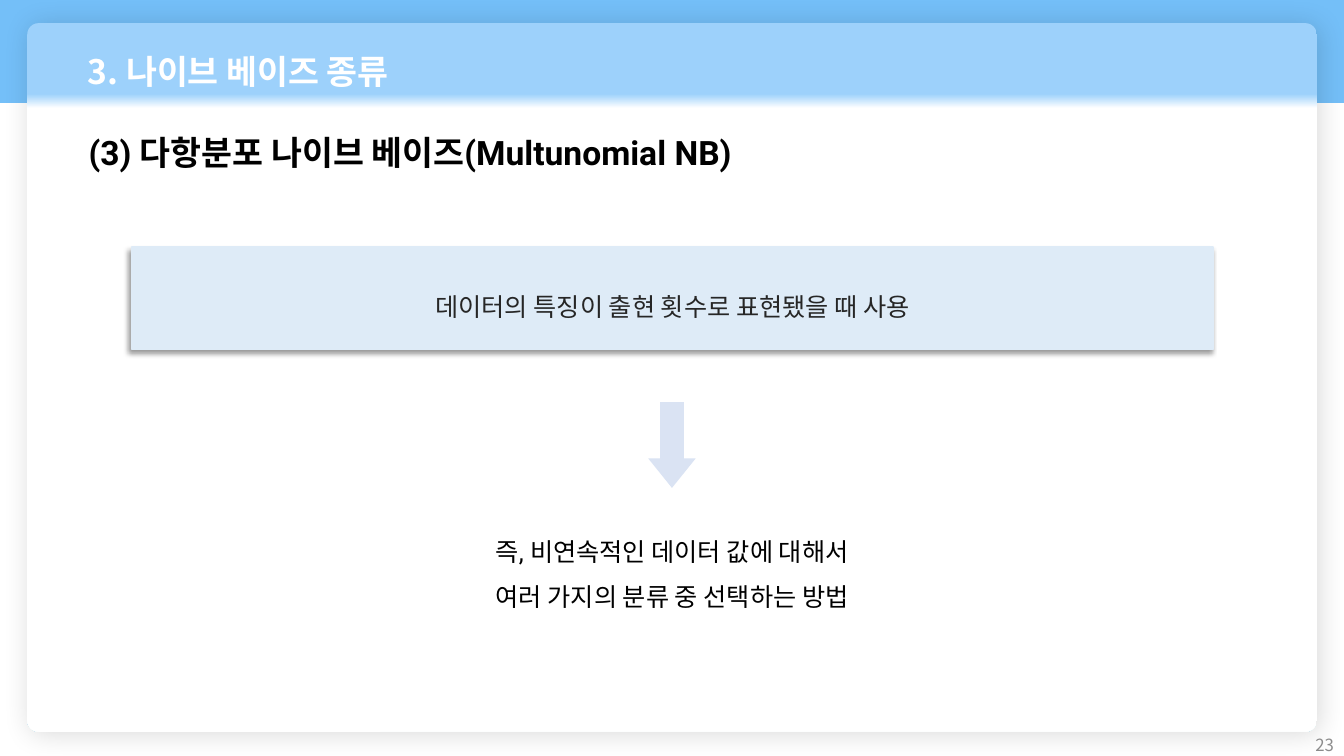
from dataclasses import dataclass

from lxml import etree
from pptx import Presentation
from pptx.dml.color import RGBColor
from pptx.enum.shapes import MSO_SHAPE
from pptx.enum.text import MSO_ANCHOR, MSO_AUTO_SIZE, PP_ALIGN
from pptx.oxml.ns import qn
from pptx.util import Inches, Pt

LEFT, CENTER, RIGHT = PP_ALIGN.LEFT, PP_ALIGN.CENTER, PP_ALIGN.RIGHT
TOP, MIDDLE = MSO_ANCHOR.TOP, MSO_ANCHOR.MIDDLE
RECTANGLE, ROUNDED = MSO_SHAPE.RECTANGLE, MSO_SHAPE.ROUNDED_RECTANGLE
DOWN_ARROW = MSO_SHAPE.DOWN_ARROW
NO_AUTOFIT = MSO_AUTO_SIZE.NONE
EMU_PER_POINT = 12700
ANGLE_UNITS = 60000
PERCENT_UNITS = 1000


@dataclass(frozen=True)
class Theme:
    korean: str = "Noto Sans CJK KR"
    latin: str = "Roboto"
    heading: int = 24
    body: int = 18
    small: int = 12
    band: str = "74BFF8"
    card_top: str = "9DD1FB"
    white: str = "FFFFFF"
    black: str = "000000"
    panel: str = "DEEBF7"
    panel_text: str = "262626"
    arrow: str = "DAE3F3"
    page_number: str = "8C8C8C"


THEME = Theme()


@dataclass(frozen=True)
class Box:
    left: float
    top: float
    width: float
    height: float

    def lengths(self) -> tuple:
        return tuple(Inches(n) for n in (self.left, self.top, self.width, self.height))


@dataclass(frozen=True)
class Shadow:
    opacity: int
    blur: int
    distance: int
    angle: int


@dataclass(frozen=True)
class TextStyle:
    size: int
    color: str
    font: str = THEME.latin
    bold: bool = False
    align: PP_ALIGN = LEFT
    anchor: MSO_ANCHOR = TOP
    line_spacing: float = 1.0


@dataclass(frozen=True)
class Label:
    box: Box
    lines: tuple
    style: TextStyle


TITLE = "3. 나이브 베이즈 종류"
TITLE_BOX = Box(0.87, 0.4, 11.6, 0.6)
TITLE_STYLE = TextStyle(THEME.heading, THEME.white, THEME.korean, bold=True, anchor=MIDDLE)
PANEL_TEXT = "데이터의 특징이 출현 횟수로 표현됐을 때 사용"
PANEL_STYLE = TextStyle(THEME.body, THEME.panel_text, align=CENTER,
                        anchor=MIDDLE, line_spacing=1.5)
LABELS = (
    Label(Box(0.78, 1.26, 7.38, 0.5),
          ("(3) 다항분포 나이브 베이즈(Multunomial NB)",),
          TextStyle(THEME.heading, THEME.black, bold=True)),
    Label(Box(10.33, 7.19, 3, 0.4), ("23",),
          TextStyle(THEME.small, THEME.page_number, THEME.korean,
                    align=RIGHT, anchor=MIDDLE)),
    Label(Box(2.67, 5.12, 7.99, 0.95),
          ("즉, 비연속적인 데이터 값에 대해서", "여러 가지의 분류 중 선택하는 방법"),
          TextStyle(THEME.body, THEME.black, align=CENTER, line_spacing=1.5)),
)


def rgb(color: str) -> RGBColor:
    return RGBColor.from_string(color)


def write_text(frame, lines: tuple, style: TextStyle) -> None:
    frame.word_wrap = True
    frame.auto_size = NO_AUTOFIT
    frame.vertical_anchor = style.anchor
    for index, line in enumerate(lines):
        para = frame.add_paragraph() if index else frame.paragraphs[0]
        para.alignment = style.align
        para.line_spacing = style.line_spacing
        span = para.add_run()
        span.text = line
        span.font.name = style.font
        span.font.size = Pt(style.size)
        span.font.bold = style.bold
        span.font.color.rgb = rgb(style.color)
        east_asian = etree.SubElement(span.font._element, qn("a:ea"))
        east_asian.set("typeface", THEME.korean)


def add_plain_shape(page, kind: MSO_SHAPE, box: Box, color: str):
    shape = page.shapes.add_shape(kind, *box.lengths())
    shape.shadow.inherit = False
    shape.fill.solid()
    shape.fill.fore_color.rgb = rgb(color)
    shape.line.fill.background()
    return shape


def cast_shadow(shape, shadow: Shadow) -> None:
    effects = shape._element.spPr.find(qn("a:effectLst"))
    outer = etree.SubElement(effects, qn("a:outerShdw"), {
        "blurRad": str(shadow.blur * EMU_PER_POINT),
        "dist": str(shadow.distance * EMU_PER_POINT),
        "dir": str(shadow.angle * ANGLE_UNITS),
        "algn": "ctr",
        "rotWithShape": "0",
    })
    color = etree.SubElement(outer, qn("a:srgbClr"), val=THEME.black)
    etree.SubElement(color, qn("a:alpha"), val=str(shadow.opacity * PERCENT_UNITS))


def add_card(page) -> None:
    card = add_plain_shape(page, ROUNDED, Box(0.27, 0.23, 12.79, 7.03), THEME.white)
    card.adjustments[0] = 0.016
    card.fill.gradient()
    card.fill.gradient_angle = 270
    stops = ((0.1, THEME.card_top), (0.12, THEME.white))
    for stop, (position, color) in zip(card.fill.gradient_stops, stops):
        stop.position = position
        stop.color.rgb = rgb(color)
    cast_shadow(card, Shadow(opacity=14, blur=20, distance=3, angle=45))


def add_title(page) -> None:
    """Format the title placeholder and bring it in front of the card."""
    title = page.shapes.title
    title.left, title.top, title.width, title.height = TITLE_BOX.lengths()
    frame = title.text_frame
    frame.margin_left = frame.margin_right = 0
    write_text(frame, (TITLE,), TITLE_STYLE)
    page.shapes._spTree.append(title._element)


def add_panel(page) -> None:
    panel = add_plain_shape(page, RECTANGLE, Box(1.31, 2.45, 10.72, 1.02), THEME.panel)
    panel.line.color.rgb = rgb(THEME.panel)
    panel.line.width = Pt(1)
    cast_shadow(panel, Shadow(opacity=40, blur=4, distance=3, angle=135))
    write_text(panel.text_frame, (PANEL_TEXT,), PANEL_STYLE)


def add_arrow(page) -> None:
    arrow = add_plain_shape(page, DOWN_ARROW, Box(6.43, 3.99, 0.47, 0.85), THEME.arrow)
    arrow.adjustments[0] = 0.5
    arrow.adjustments[1] = 0.62


def main() -> None:
    deck = Presentation()
    deck.slide_width, deck.slide_height = Inches(13.33), Inches(7.5)
    page = deck.slides.add_slide(deck.slide_layouts.get_by_name("Title Only"))
    add_plain_shape(page, RECTANGLE, Box(0, 0, 13.33, 1.02), THEME.band)
    add_card(page)
    add_title(page)
    add_panel(page)
    add_arrow(page)
    for label in LABELS:
        text_box = page.shapes.add_textbox(*label.box.lengths())
        write_text(text_box.text_frame, label.lines, label.style)
    deck.save("out.pptx")


if __name__ == "__main__":
    main()
